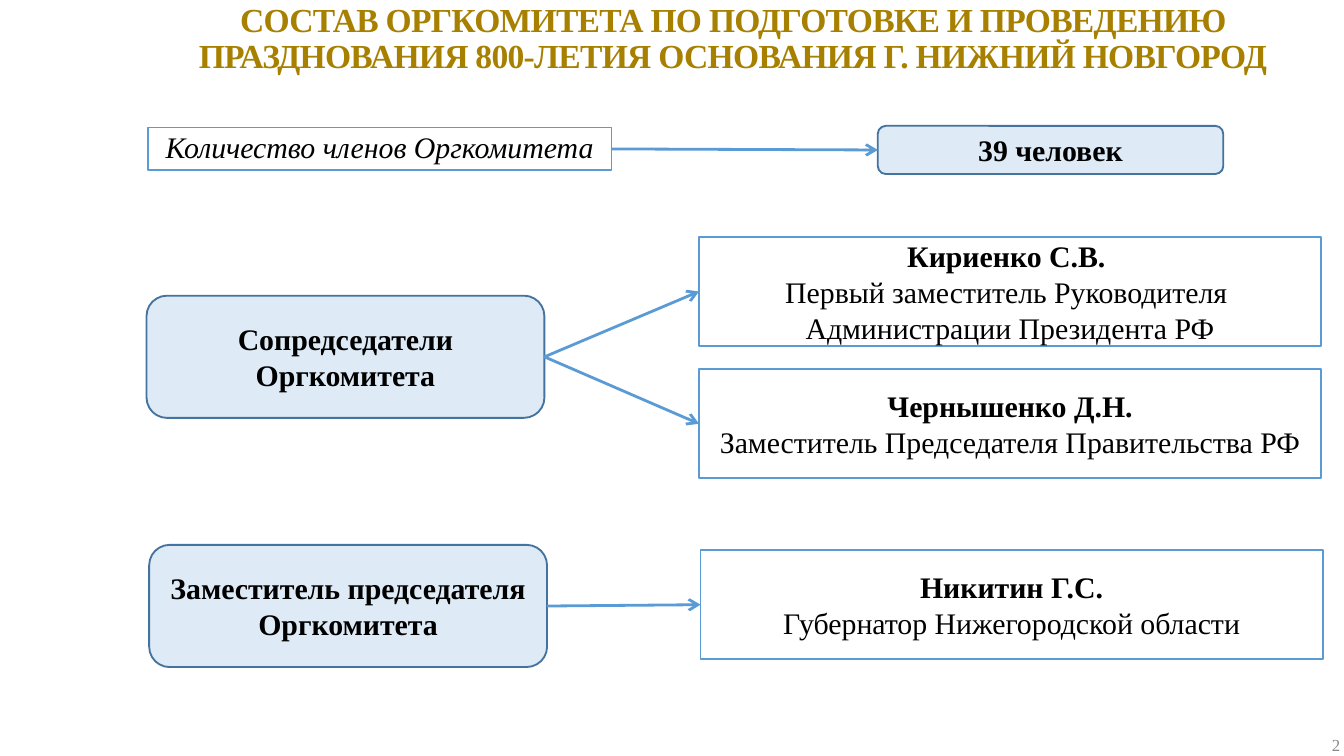
from lxml import etree
from pptx import Presentation
from pptx import util as u
from pptx.dml.color import RGBColor
from pptx.enum import shapes, text
from pptx.oxml.ns import qn

HUES = {"gold": "A88000", "gray": "898989", "black": "000000", "white": "FFFFFF",
        "pale": "DEEBF7", "blue": "5B9BD5", "steel": "43739E"}
KINDS = {
    "plain": (shapes.MSO_SHAPE.RECTANGLE, "white", "blue"),
    "round": (shapes.MSO_SHAPE.ROUNDED_RECTANGLE, "pale", "steel"),
}
LEFT, RIGHT = 1, 3  # connection sites of a rectangle


class Deck:
    """Holds the style and the current slide."""

    face = "Times New Roman"

    def __init__(self, wide, high):
        self.prs = Presentation()
        self.prs.slide_width, self.prs.slide_height = u.Cm(wide), u.Cm(high)
        self.slide = self.prs.slides.add_slide(self.prs.slide_layouts[5])

    def hue(self, name):
        return RGBColor.from_string(HUES[name])

    def letter(self, frame, lines, align=text.PP_ALIGN.CENTER,
               anchor=text.MSO_ANCHOR.MIDDLE, color="black", space=None):
        """Fill a frame with lines, each a pair of words and font values."""
        frame.word_wrap = True
        frame.auto_size = text.MSO_AUTO_SIZE.NONE
        frame.vertical_anchor = anchor
        for i, (words, look) in enumerate(lines):
            para = frame.add_paragraph() if i else frame.paragraphs[0]
            para.alignment, para.line_spacing = align, space
            run = para.add_run()
            run.text = words
            values = {"name": self.face, "size": u.Pt(16), **look}
            for key, value in values.items():
                setattr(run.font, key, value)
            run.font.color.rgb = self.hue(color)

    def title(self, words, x, y, w, h):
        head = self.slide.shapes.title
        spot = {"left": x, "top": y, "width": w, "height": h}
        for key, value in spot.items():
            setattr(head, key, u.Cm(value))
        self.letter(head.text_frame, [(words, {"size": u.Pt(18), "bold": True})],
                    anchor=text.MSO_ANCHOR.TOP, color="gold", space=u.Pt(19))
        run = head.text_frame.paragraphs[0].runs[0]
        run._r.get_or_add_rPr().set("spc", "-40")

    def number(self, words, x, y, w, h):
        box = self.slide.shapes.add_textbox(*map(u.Cm, (x, y, w, h)))
        self.letter(box.text_frame, [(words, {"size": u.Pt(9)})],
                    align=text.PP_ALIGN.RIGHT, color="gray")

    def box(self, kind, x, y, w, h, lines, space=None):
        form, fill, edge = KINDS[kind]
        box = self.slide.shapes.add_shape(form, *map(u.Cm, (x, y, w, h)))
        box.shadow.inherit = False
        box.fill.solid()
        box.fill.fore_color.rgb = self.hue(fill)
        box.line.color.rgb = self.hue(edge)
        box.line.width = u.Pt(1)
        self.letter(box.text_frame, lines, space=space)
        return box

    def role(self, x, y, words):
        return self.box("round", x, y, 7.52, 2.31, [(words, {"bold": True})])

    def person(self, x, y, name, *posts):
        lines = [(name, {"bold": True})] + [(post, {}) for post in posts]
        return self.box("plain", x, y, 11.76, 2.06, lines)

    def arrow(self, start, end):
        line = self.slide.shapes.add_connector(
            shapes.MSO_CONNECTOR.STRAIGHT, 0, 0, 0, 0)
        line.begin_connect(start, RIGHT)
        line.end_connect(end, LEFT)
        line.line.color.rgb = self.hue("blue")
        line.line.width = u.Pt(1.5)
        props = line._element.spPr
        etree.SubElement(props.find(qn("a:ln")), qn("a:tailEnd"), type="arrow")
        etree.SubElement(props, qn("a:effectLst"))


def main():
    deck = Deck(25.4, 14.29)
    deck.title("СОСТАВ ОРГКОМИТЕТА ПО ПОДГОТОВКЕ И ПРОВЕДЕНИЮ ПРАЗДНОВАНИЯ "
               "800-ЛЕТИЯ ОСНОВАНИЯ Г. НИЖНИЙ НОВГОРОД", 2.18, -0.05, 23.34, 1.52)
    deck.number("2", 24.49, 13.59, 1.09, 0.99)

    count = deck.box("plain", 2.79, 2.41, 8.77, 0.81,
                     [("Количество членов Оргкомитета", {"italic": True})], 0.9)
    total = deck.box("round", 16.59, 2.38, 6.53, 0.91,
                     [("39 человек", {"bold": True})])
    deck.arrow(count, total)

    chairs = deck.role(2.77, 5.59, "Сопредседатели Оргкомитета")
    first = deck.person(13.21, 4.48, "Кириенко С.В. ",
                        "Первый заместитель Руководителя ",
                        "Администрации Президента РФ")
    second = deck.person(13.21, 6.98, "Чернышенко Д.Н.",
                         "Заместитель Председателя Правительства РФ")
    deck.arrow(chairs, first)
    deck.arrow(chairs, second)

    deputy = deck.role(2.82, 10.3, "Заместитель председателя Оргкомитета")
    third = deck.person(13.24, 10.4, "Никитин Г.С.",
                        "Губернатор Нижегородской области")
    deck.arrow(deputy, third)

    deck.prs.save("out.pptx")


if __name__ == "__main__":
    main()
